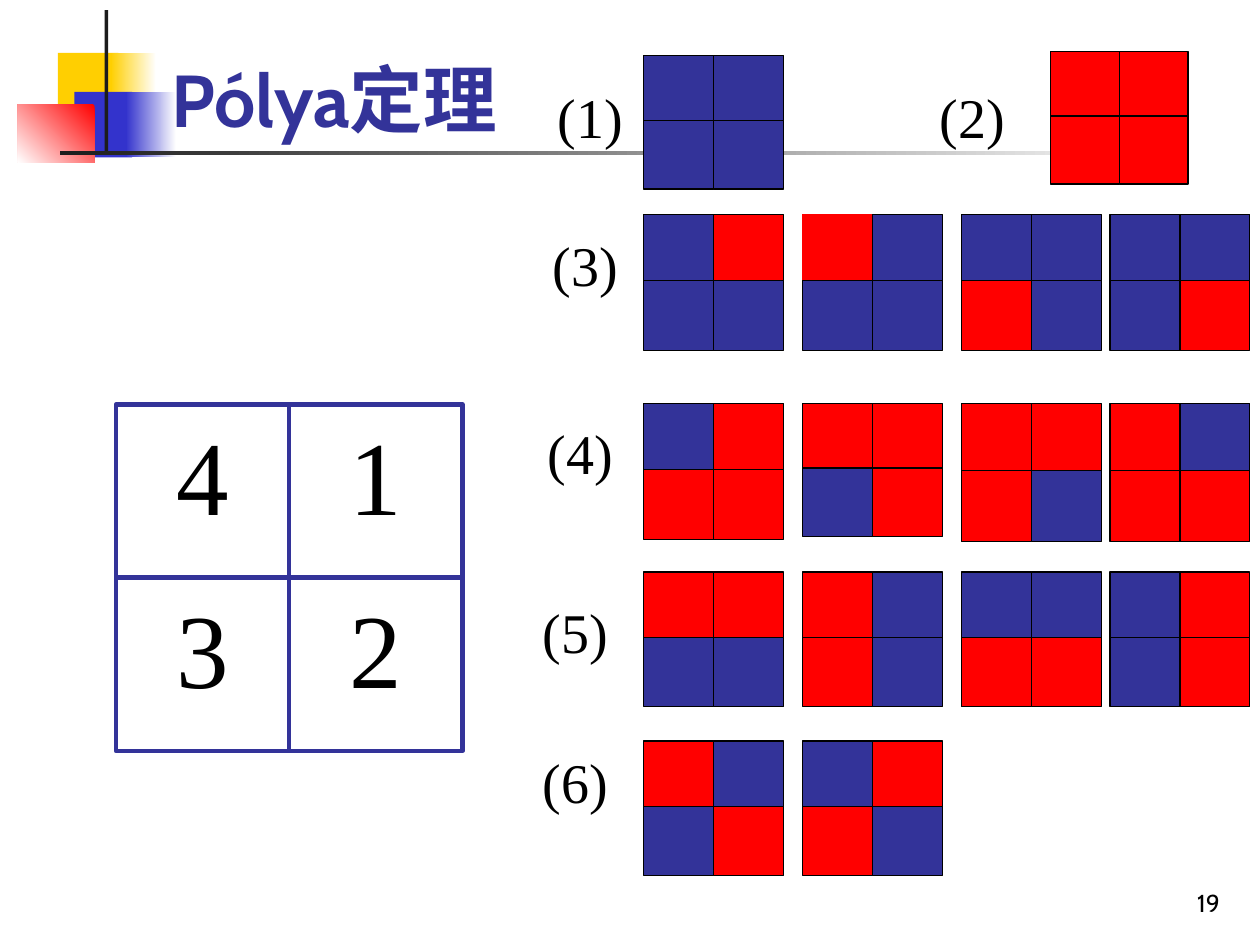
from pptx import Presentation
from pptx import util as u
from pptx.dml import color
from pptx.enum import shapes, text

HUES = {
    "blue": "333399", "red": "FF0000", "black": "000000", "white": "FFFFFF",
    "gold": "FFCF01", "navy": "3333CC", "dark": "1C1C1C",
}
SERIF, SANS = "Times New Roman", "Cabin"

# Each letter is a cell: B blue, R red, r red with a red edge
CELLS = {"B": ("blue", "black"), "R": ("red", "black"), "r": ("red", "red")}
COLS = [5.11, 6.37, 7.63, 8.81]

# Label, its left and top, then boards as (left, top, width, height, cells)
CLASSES = [
    ("(1)", 4.33, 0.6, [(5.11, 0.44, 1.11, 1.06, "BBBB")]),
    ("(2)", 7.36, 0.6, [(8.34, 0.41, 1.09, 1.05, "RRRR")]),
]
# Label, its left and top, board top, board heights, board cells
ROWS = [
    ("(3)", 4.29, 1.78, 1.7, [1.08] * 4, ["BRBB", "rBBB", "BBRB", "BBBR"]),
    ("(4)", 4.25, 3.27, 3.2, [1.08, 1.06, 1.1, 1.1],
     ["BRRR", "RRBR", "RRRB", "RBRR"]),
    ("(5)", 4.21, 4.69, 4.54, [1.07] * 4, ["RRBB", "RBRB", "BBRR", "BRBR"]),
    ("(6)", 4.21, 5.88, 5.88, [1.07] * 2, ["RBBR", "BRRB"]),
]
CLASSES += [
    (name, x, y, [(col, top, 1.11, h, cells)
                  for col, h, cells in zip(COLS, tall, codes)])
    for name, x, y, top, tall, codes in ROWS
]


def rgb(name):
    return color.RGBColor.from_string(HUES[name])


def rect(parent, x, y, w, h, fill=None, edge=None, thick=0.75):
    """Add a rectangle; a fill of (start, end, angle) makes a gradient."""
    box = parent.shapes.add_shape(
        shapes.MSO_SHAPE.RECTANGLE, *map(u.Inches, (x, y, w, h)))
    box.shadow.inherit = False
    if fill is None:
        box.fill.background()
    elif isinstance(fill, tuple):
        *ends, angle = fill
        box.fill.gradient()
        box.fill.gradient_angle = angle
        for stop, name in zip(box.fill.gradient_stops, ends):
            stop.color.rgb = rgb(name)
    else:
        box.fill.solid()
        box.fill.fore_color.rgb = rgb(fill)
    if edge:
        box.line.color.rgb = rgb(edge)
        box.line.width = u.Pt(thick)
    else:
        box.line.fill.background()
    return box


def write(box, words, size, font, hue="black", bold=False,
          align=text.PP_ALIGN.LEFT, anchor=text.MSO_ANCHOR.MIDDLE, wrap=True):
    frame = box.text_frame
    frame.word_wrap = wrap
    frame.vertical_anchor = anchor
    para = frame.paragraphs[0]
    para.text = words
    para.alignment = align
    para.font.size = u.Pt(size)
    para.font.name = font
    para.font.bold = bold
    para.font.color.rgb = rgb(hue)


def label(slide, x, y, w, h, *args, **opts):
    box = slide.shapes.add_textbox(*map(u.Inches, (x, y, w, h)))
    write(box, *args, **opts)


def motif(slide, x, y):
    """Draw the blocks and crossing bars behind the title."""
    parts = [
        (0.32, 0.34, 0.48, 0.52, "gold"),
        (0.74, 0.34, 0.36, 0.52, ("white", "gold", 180)),
        (0.45, 0.65, 0.46, 0.52, "navy"),
        (0.86, 0.65, 0.4, 0.52, ("white", "navy", 180)),
        (0, 0.75, 0.61, 0.46, ("red", "white", 225)),
        (0.69, 0, 0.03, 1.15, "dark"),
        (0.34, 1.12, 9, 0.03, ("white", "dark", 180)),
    ]
    for dx, dy, w, h, fill in parts:
        rect(slide, x + dx, y + dy, w, h, fill)


def board(slide, x, y, w, h, cells):
    """Draw a two by two colouring whose rows overlap a little."""
    group = slide.shapes.add_group_shape()
    wide, tall = w / 2, (h + 0.03) / 2
    for i, code in enumerate(cells):
        row, col = divmod(i, 2)
        rect(group, x + col * wide, y + row * (h - tall), wide, tall,
             *CELLS[code])


def key(slide, x, y, size):
    """Draw the grid that numbers the four cells."""
    group = slide.shapes.add_group_shape()
    side = size / 2
    for i, digit in enumerate("4132"):
        row, col = divmod(i, 2)
        box = rect(group, x + col * side, y + row * side, side, side,
                   edge="blue", thick=2.5)
        write(box, digit, 60, SERIF, align=text.PP_ALIGN.CENTER,
              anchor=text.MSO_ANCHOR.TOP)


def main():
    deck = Presentation()
    deck.slide_width, deck.slide_height = u.Inches(10), u.Inches(7.5)
    slide = deck.slides.add_slide(deck.slide_layouts[6])
    motif(slide, 0.14, 0.08)
    for name, x, y, boards in CLASSES:
        for item in boards:
            board(slide, *item)
        label(slide, x, y, 0.83, 0.64, name, 32, SERIF, wrap=False)
    label(slide, 1.26, 0.08, 8.52, 1.1, "Pólya定理", 42, SANS, "blue", True,
          anchor=text.MSO_ANCHOR.BOTTOM)
    key(slide, 0.92, 3.21, 2.75)
    label(slide, 7.7, 6.83, 2.08, 0.5, "19", 14, SANS,
          align=text.PP_ALIGN.RIGHT, anchor=text.MSO_ANCHOR.BOTTOM)
    deck.save("out.pptx")


if __name__ == "__main__":
    main()
